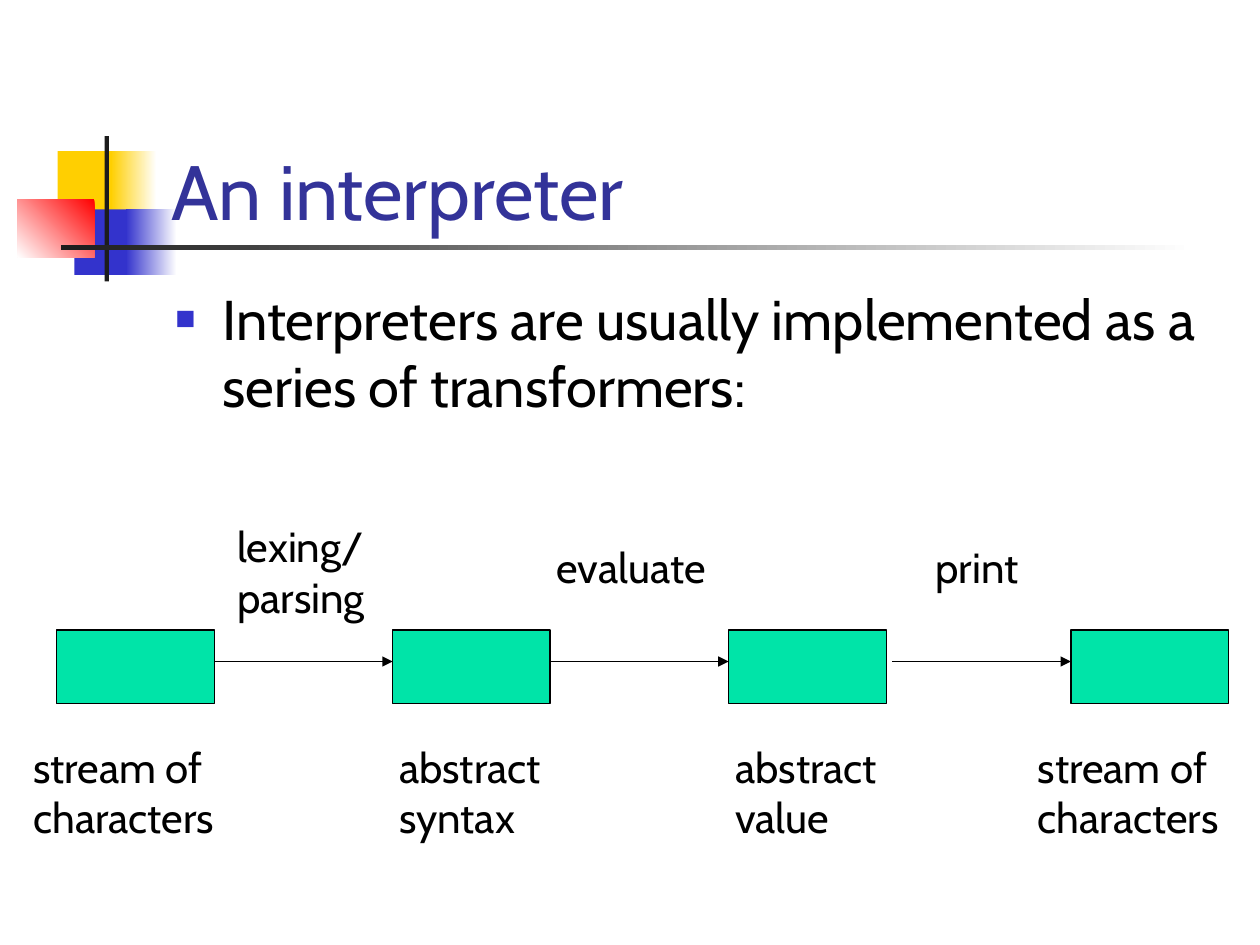
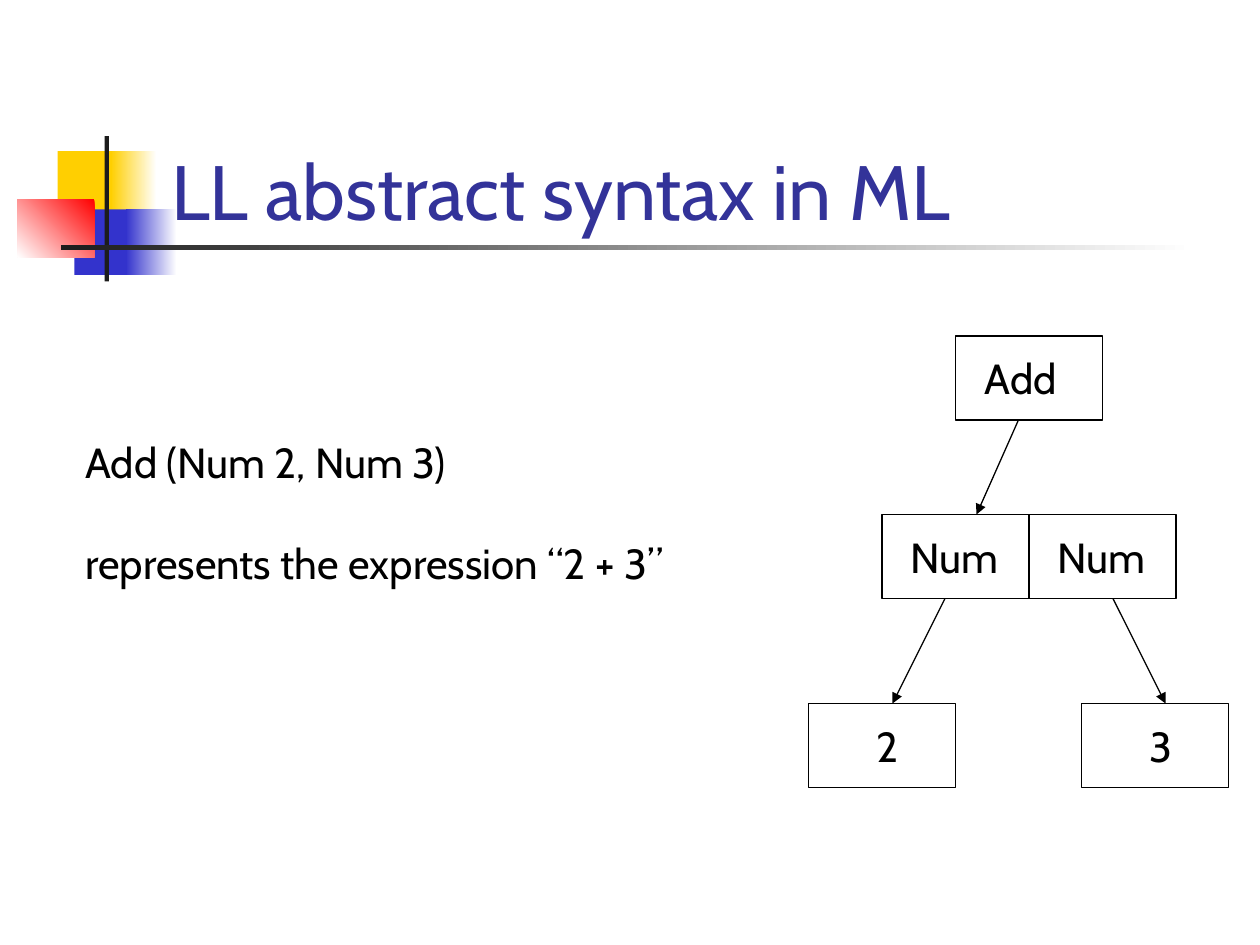
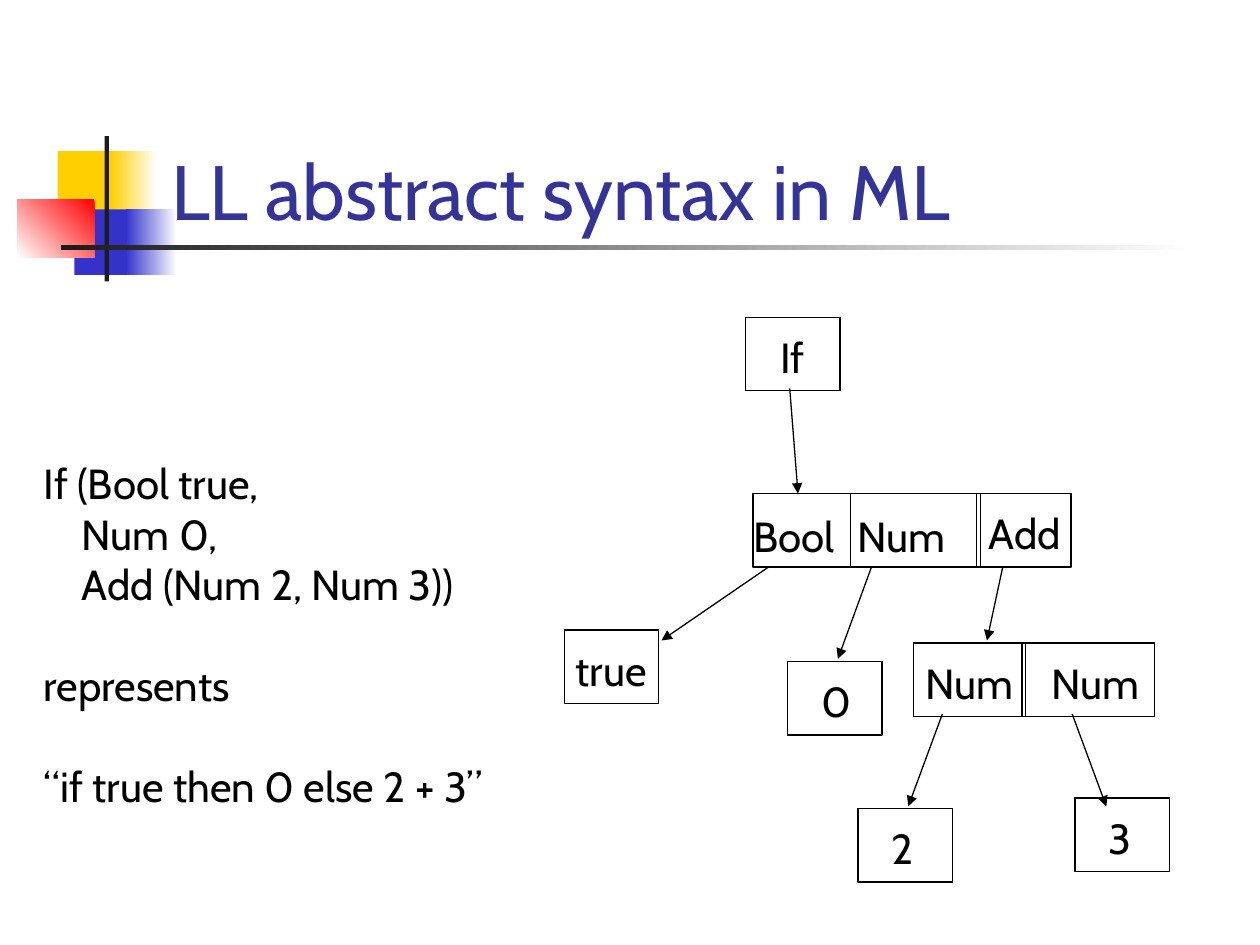
"""Build three slides on interpreters and abstract syntax trees."""
import lxml.etree
import pptx
import pptx.dml.color
import pptx.enum.shapes
import pptx.enum.text
import pptx.oxml.ns
import pptx.util

Pt = pptx.util.Pt
RECT = pptx.enum.shapes.MSO_SHAPE.RECTANGLE
STRAIGHT = pptx.enum.shapes.MSO_CONNECTOR.STRAIGHT
CONTENT, TITLE_ONLY = 1, 5
LABEL_WIDTHS = {"Add": 59, "Num": 70, "Bool": 65, "true": 61, "If": 31}


def rgb(hex_string):
    return pptx.dml.color.RGBColor.from_string(hex_string)


def sub(parent, tag, **attrs):
    return lxml.etree.SubElement(parent, pptx.oxml.ns.qn(tag), attrs)


class Deck:
    FONT = "Cabin"
    BLACK, WHITE, DARK = "000000", "FFFFFF", "1C1C1C"
    YELLOW, BLUE, RED = "FFCF01", "3333CC", "FF0000"
    TITLE, GREEN = "333399", "00E4A8"
    BLANK_LINE = 28.8

    def __init__(self):
        self.prs = pptx.Presentation()
        self.prs.slide_width, self.prs.slide_height = Pt(720), Pt(540)
        self.slide = None

    def new_slide(self, title, layout=TITLE_ONLY):
        self.slide = self.prs.slides.add_slide(self.prs.slide_layouts[layout])
        placeholders = list(self.slide.placeholders)
        self.decorate()
        for sp in placeholders:
            self.slide.shapes._spTree.append(sp._element)
        tf = self.fill_placeholder(self.slide.shapes.title, title, 90.75, 48.25, 613.5, 90)
        tf.vertical_anchor = pptx.enum.text.MSO_ANCHOR.BOTTOM
        self.style(tf.paragraphs[0], 44, self.TITLE)

    def decorate(self):
        self.rect(33, 86.4, 34.5, 37.5, self.YELLOW)
        self.gradient(63.4, 86.4, 26, 37.5, self.WHITE, self.YELLOW)
        self.rect(42.5, 119.6, 33, 37.5, self.BLUE)
        self.gradient(72, 119.6, 29, 37.5, self.WHITE, self.BLUE)
        self.gradient(10, 113.8, 44, 33.2, self.RED, self.WHITE, 225)
        self.rect(59.8, 77.8, 2.5, 83, self.DARK)
        self.gradient(34.6, 140.2, 648, 2.5, self.WHITE, self.DARK)

    def fill_placeholder(self, sp, text, x, y, w, h):
        sp.left, sp.top, sp.width, sp.height = map(Pt, (x, y, w, h))
        tf = sp.text_frame
        tf.text = text
        tf.word_wrap = True
        tf.auto_size = pptx.enum.text.MSO_AUTO_SIZE.NONE
        return tf

    def style(self, p, size, color):
        p.alignment = pptx.enum.text.PP_ALIGN.LEFT
        p.font.name, p.font.size = self.FONT, Pt(size)
        p.font.color.rgb = rgb(color)

    def bullet(self, text):
        tf = self.fill_placeholder(self.slide.placeholders[1], text, 93, 159, 612, 324)
        p = tf.paragraphs[0]
        p.space_before = Pt(8)
        pPr = p._p.get_or_add_pPr()
        pPr.set("marL", str(Pt(27)))
        pPr.set("indent", str(-Pt(27)))
        sub(sub(pPr, "a:buClr"), "a:srgbClr", val=self.BLUE)
        sub(pPr, "a:buSzPct", val="60000")
        sub(pPr, "a:buChar", char="■")
        self.style(p, 32, self.BLACK)

    def rect(self, x, y, w, h, fill=None, line=None):
        sp = self.slide.shapes.add_shape(RECT, Pt(x), Pt(y), Pt(w), Pt(h))
        sp.shadow.inherit = False
        if fill:
            sp.fill.solid()
            sp.fill.fore_color.rgb = rgb(fill)
        else:
            sp.fill.background()
        if line:
            sp.line.color.rgb = rgb(line)
            sp.line.width = Pt(0.75)
        else:
            sp.line.fill.background()
        return sp

    def gradient(self, x, y, w, h, start, end, angle=180):
        fill = self.rect(x, y, w, h).fill
        fill.gradient()
        fill.gradient_angle = angle
        for stop, color in zip(fill.gradient_stops, (start, end)):
            stop.color.rgb = rgb(color)

    def text(self, x, y, w, h, *lines):
        """Add lines, each a string or a (string, indent, space before) tuple."""
        tf = self.slide.shapes.add_textbox(Pt(x), Pt(y), Pt(w), Pt(h)).text_frame
        tf.word_wrap = True
        for i, line in enumerate(lines):
            text, indent, before = (line, 0, 0) if isinstance(line, str) else line
            p = tf.add_paragraph() if i else tf.paragraphs[0]
            p.text = text
            p.space_before = Pt(before)
            p._p.get_or_add_pPr().set("marL", str(Pt(indent)))
            self.style(p, 24, self.BLACK)

    def node(self, label, x, y, w, h, dx, dy):
        self.rect(x, y, w, h, line=self.BLACK)
        self.text(x + dx, y + dy, LABEL_WIDTHS.get(label, 28), 36, label)

    def arrow(self, x1, y1, x2, y2):
        cn = self.slide.shapes.add_connector(STRAIGHT, Pt(x1), Pt(y1), Pt(x2), Pt(y2))
        cn.line.color.rgb = rgb(self.BLACK)
        cn.line.width = Pt(0.75)
        sub(cn.line._get_or_add_ln(), "a:tailEnd", type="triangle")
        sub(cn._element.spPr, "a:effectLst")


def interpreter_slide(deck):
    deck.new_slide("An interpreter", CONTENT)
    deck.bullet("Interpreters are usually implemented as a series of transformers:")
    stages = [
        (32.4, 12, 132.5, ("stream of", "characters")),
        (224.4, 221, 106, ("abstract", "syntax")),
        (416.4, 413, 106, ("abstract", "value")),
        (612, 586, 132.5, ("stream of", "characters")),
    ]
    for x, caption_x, caption_w, caption in stages:
        deck.rect(x, 360, 90, 42, deck.GREEN, deck.BLACK)
        deck.text(caption_x, 420, caption_w, 65, *caption)
    for x, *_ in stages[1:]:
        deck.arrow(x - 102, 378, x, 378)
    deck.text(128.5, 294, 99.5, 65, "lexing/", "parsing")
    deck.text(311, 306, 110, 36, "evaluate")
    deck.text(527.5, 306, 68.5, 36, "print")


def add_slide(deck):
    deck.new_slide("LL abstract syntax in ML")
    deck.text(41.8, 246, 385, 93.6, "Add (Num 2, Num 3)",
              ("represents the expression “2 + 3”", 0, deck.BLANK_LINE))
    for label, x, y, dx in [
        ("Add", 546, 192, 9.6), ("Num", 504, 294, 9.2), ("Num", 588, 294, 9.2),
        ("2", 462, 402, 32), ("3", 618, 402, 32),
    ]:
        deck.node(label, x, y, 84, 48, dx, 6)
    for ends in [(540, 342, 510, 402), (636, 342, 666, 402), (582, 240, 558, 294)]:
        deck.arrow(*ends)


def if_slide(deck):
    deck.new_slide("LL abstract syntax in ML")
    deck.text(18, 258, 288, 209, "If (Bool true,", ("Num 0,", 21.7, 0),
              ("Add (Num 2, Num 3))", 21.7, 0),
              ("represents", 0, deck.BLANK_LINE),
              ("“if true then 0 else 2 + 3”", 0, deck.BLANK_LINE))
    for label, x, y, w, dx, dy in [
        ("If", 426, 181.3, 54, 13, 4.5),
        ("Bool", 430.3, 282, 55.7, -7, 6), ("Num", 486, 282, 74.3, -3, 6),
        ("Add", 558, 282, 54, 0, 4.5),
        ("true", 322.4, 360, 54, -0.5, 4.5), ("0", 450, 378, 54, 12.3, 4.5),
        ("Num", 522, 367.5, 64, 0, 4.5), ("Num", 584, 367.5, 75.8, 10, 4.5),
        ("2", 490.3, 462, 54, 12.3, 4.5), ("3", 614.3, 456, 54, 12.3, 4.5),
    ]:
        deck.node(label, x, y, w, 42, dx, dy)
    for ends in [
        (451.3, 222, 456, 282), (439.2, 324, 378, 366), (498, 324, 478.8, 376.5),
        (573, 324, 564, 366), (538.5, 408, 519, 460.8), (612.7, 408, 632.2, 460.8),
    ]:
        deck.arrow(*ends)


def main():
    deck = Deck()
    interpreter_slide(deck)
    add_slide(deck)
    if_slide(deck)
    deck.prs.save("out.pptx")


if __name__ == "__main__":
    main()
